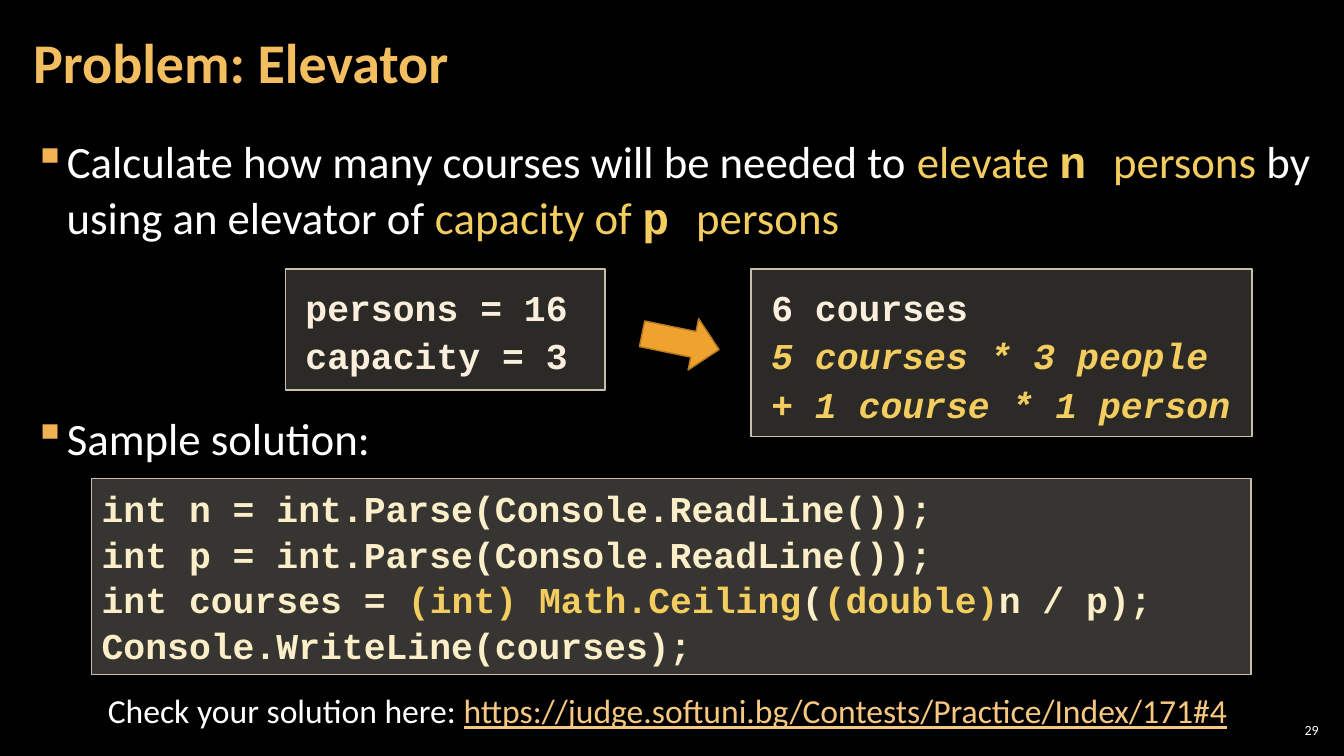
from dataclasses import dataclass, field

from pptx import Presentation
from pptx import util as u
from pptx.dml import color
from pptx.enum import shapes, text
from pptx.oxml.ns import qn
from lxml import etree

SANS, MONO = "Calibri", "Courier New"
WHITE, GOLD, CREAM, CODE = "FFFFFF", "F3CD60", "FBEEDC", "FBEEC9"
BORDER = "C7BFAC"
MID, TOP = text.MSO_ANCHOR.MIDDLE, text.MSO_ANCHOR.TOP


@dataclass
class Run:
    text: str
    fmt: dict = field(default_factory=dict)


@dataclass
class Para:
    runs: list[Run]
    fmt: dict = field(default_factory=dict)
    bullet: bool = False


@dataclass
class Block:
    at: tuple[float, float, float, float]
    paras: list[Para]
    base: dict
    insets: tuple[float, float] = (0.1, 0.05)
    anchor: text.MSO_ANCHOR = TOP
    opacity: int = 0  # percent; 0 means a plain text box


def rgb(code: str) -> color.RGBColor:
    return color.RGBColor.from_string(code)


def apply(obj, values: dict) -> None:
    for name, value in values.items():
        if name == "color":
            obj.color.rgb = rgb(value)
        else:
            setattr(obj, name, value)


def font(name: str, size: int, code: str, **extra) -> dict:
    return {"name": name, "size": u.Pt(size), "color": code, **extra}


def add_bullet(p) -> None:
    pPr = p._p.get_or_add_pPr()
    pPr.set("marL", str(u.Inches(0.33)))
    pPr.set("indent", str(-u.Inches(0.33)))
    clr = etree.SubElement(pPr, qn("a:buClr"))
    etree.SubElement(clr, qn("a:srgbClr"), val="F2B254")
    etree.SubElement(pPr, qn("a:buChar"), char="▪")


def add_preset(s, kind, at: tuple, fill: str, line: str, opacity: int = 100):
    sp = s.shapes.add_shape(kind, *map(u.Inches, at))
    sp.shadow.inherit = False
    sp.fill.solid()
    sp.fill.fore_color.rgb = rgb(fill)
    sp.line.color.rgb = rgb(line)
    sp.line.width = u.Pt(1)
    if opacity < 100:
        clr = sp._element.spPr.find(qn("a:solidFill"))[0]
        etree.SubElement(clr, qn("a:alpha"), val=str(opacity * 1000))
    return sp


def add_block(s, b: Block) -> None:
    if b.opacity:
        sp = add_preset(s, shapes.MSO_SHAPE.RECTANGLE, b.at, "D9D5C7", BORDER, b.opacity)
    else:
        sp = s.shapes.add_textbox(*map(u.Inches, b.at))
    tf = sp.text_frame
    dx, dy = map(u.Inches, b.insets)
    apply(tf, {"word_wrap": True, "vertical_anchor": b.anchor,
               "margin_left": dx, "margin_right": dx,
               "margin_top": dy, "margin_bottom": dy})
    for i, para in enumerate(b.paras):
        p = tf.add_paragraph() if i else tf.paragraphs[0]
        if para.bullet:
            add_bullet(p)
        apply(p, {"alignment": text.PP_ALIGN.LEFT, **para.fmt})
        for run in para.runs:
            r = p.add_run()
            r.text = run.text
            apply(r.font, {**b.base, **run.fmt})


def lines(spacing: float, *rows: list[Run]) -> list[Para]:
    return [Para(row, {"line_spacing": spacing}) for row in rows]


# Text formats
gold = {"color": GOLD}
variable = {"color": GOLD, "name": MONO, "bold": True}
sample = font(MONO, 26, CREAM, bold=True)
body_fmt = {"line_spacing": 1.05, "space_after": u.Pt(6)}

BLOCKS = [
    # Slide number
    Block((12.65, 7.14, 0.47, 0.21),
          [Para([Run("29")], {"alignment": text.PP_ALIGN.RIGHT})],
          font(SANS, 10, WHITE), (0.04, 0.04), MID),
    # Bullets, with room for the example between them
    Block((0.21, 1.26, 12.91, 6.09), [
        Para([Run("Calculate how many courses will be needed to "),
              Run("elevate ", gold), Run("n ", variable), Run("persons", gold),
              Run(" by using an elevator of "),
              Run("capacity of ", gold), Run("p ", variable), Run("persons", gold)],
             body_fmt, True),
        Para([Run("Sample solution:")], {**body_fmt, "space_before": u.Pt(111)}, True),
    ], font(SANS, 32, WHITE), (0.12, 0.04)),
    # Title
    Block((0.21, 0.04, 10.47, 1.21), lines(0.9, [Run("Problem: Elevator")]),
          font(SANS, 40, "F3BE60", bold=True), (0.12, 0.04), MID),
    # Example input and output
    Block((2.83, 2.67, 3.17, 1.2),
          lines(1.1, [Run("persons = 16")], [Run("capacity = 3")]),
          sample, (0.2, 0.12), opacity=20),
    Block((7.45, 2.67, 4.97, 1.66),
          lines(1.1, [Run("6 courses")],
                [Run("5 courses * 3 people + 1 course * 1 person",
                     {"color": GOLD, "italic": True})]),
          sample, (0.2, 0.12), opacity=20),
    # Solution code
    Block((0.91, 4.75, 11.5, 1.94),
          lines(1.05,
                [Run("int n = int.Parse(Console.ReadLine());")],
                [Run("int p = int.Parse(Console.ReadLine());")],
                [Run("int courses = "), Run("(int) Math.Ceiling", gold), Run("("),
                 Run("(double)", gold), Run("n / p);")],
                [Run("Console.WriteLine(courses);")]),
          {**sample, "color": CODE}, opacity=25),
    # Judge address
    Block((0.83, 6.8, 11.58, 0.5),
          [Para([Run("Check your solution here: "),
                 Run("https://judge.softuni.bg/Contests/Practice/Index/171#4",
                     {"color": "F6C781", "underline": True})],
                {"alignment": text.PP_ALIGN.CENTER})],
          font(SANS, 24, WHITE)),
]


def main() -> None:
    prs = Presentation()
    prs.slide_width, prs.slide_height = u.Inches(13.33), u.Inches(7.5)
    s = prs.slides.add_slide(prs.slide_layouts[6])
    s.background.fill.solid()
    s.background.fill.fore_color.rgb = rgb("000000")
    for block in BLOCKS:
        add_block(s, block)
    # Arrow from input to output
    arrow = add_preset(s, shapes.MSO_SHAPE.RIGHT_ARROW, (6.36, 3.13, 0.78, 0.52),
                       "F0A22E", "B27822")
    arrow.rotation = 11.6
    prs.save("out.pptx")


if __name__ == "__main__":
    main()
